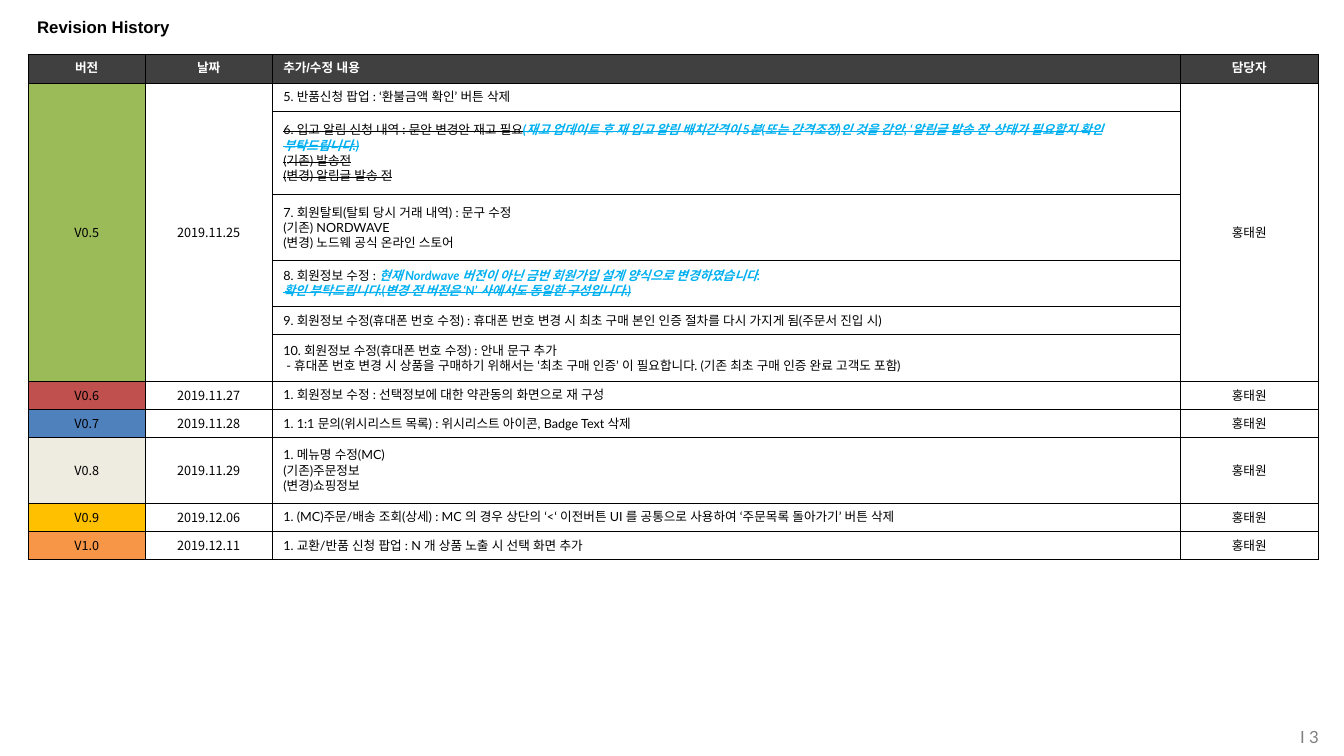
import math
from dataclasses import dataclass

import pptx
import pptx.dml.color
import pptx.enum.text
import pptx.oxml
import pptx.oxml.ns
import pptx.util
from pptx.util import Inches

ALIGN = pptx.enum.text.PP_ALIGN
MIDDLE = pptx.enum.text.MSO_ANCHOR.MIDDLE


@dataclass(frozen=True)
class Theme:
    ink: str = "000000"
    note: str = "00B0F0"
    header_fill: str = "404040"
    header_text: str = "FFFFFF"
    page_number: str = "808080"
    heading_font: str = "Arial"
    body_font: str = "Lato"
    korean_font: str = "Noto Sans CJK KR"
    title_size: int = 12
    table_size: int = 9
    border_width: float = 0.25


THEME = Theme()

COLUMN_WIDTHS = (1.16, 1.26, 9.01, 1.36)
HEIGHT_BY_LINES = {1: 0.28, 2: 0.46, 3: 0.65, 4: 0.83}
CHARACTERS_PER_LINE = 90
HEADERS = ("버전", "날짜", "추가/수정 내용", "담당자")
OWNER = "홍태원"

# Run styles: plain, struck out, reviewer note, struck-out reviewer note
PLAIN, STRUCK, NOTE, STRUCK_NOTE = "", "s", "n", "sn"

# Version, colour, date, entries; an entry lists paragraphs, a paragraph lists runs
RELEASES = [
    ("V0.5", "9BBB59", "2019.11.25", [
        [[("5. 반품신청 팝업 : ‘환불금액 확인’ 버튼 삭제", PLAIN)]],
        [[("6. 입고 알림 신청 내역 : 문안 변경안 재고 필요", STRUCK),
          ("(재고 업데이트 후 재 입고 알림 배치간격이 5분(또는 간격조정)인 것을 감안, "
           "‘알림글 발송 전’ 상태가 필요할지 확인 부탁드립니다.)", STRUCK_NOTE)],
         [("(기존) 발송전", STRUCK)],
         [("(변경) 알림글 발송 전", STRUCK)]],
        [[("7. 회원탈퇴(탈퇴 당시 거래 내역) : 문구 수정", PLAIN)],
         [("(기존) NORDWAVE", PLAIN)],
         [("(변경) 노드웨 공식 온라인 스토어", PLAIN)]],
        [[("8. 회원정보 수정 : ", PLAIN),
          ("현재 Nordwave 버전이 아닌 금번 회원가입 설계 양식으로 변경하였습니다.", NOTE)],
         [("확인 부탁드립니다.(변경 전 버전은 ‘N’ 사에서도 동일한 구성입니다.)", STRUCK_NOTE)]],
        [[("9. 회원정보 수정(휴대폰 번호 수정) : 휴대폰 번호 변경 시 최초 구매 본인 인증 "
           "절차를 다시 가지게 됨(주문서 진입 시)", PLAIN)]],
        [[("10. 회원정보 수정(휴대폰 번호 수정) : 안내 문구 추가", PLAIN)],
         [("- 휴대폰 번호 변경 시 상품을 구매하기 위해서는 ‘최초 구매 인증’ 이 필요합니다. "
           "(기존 최초 구매 인증 완료 고객도 포함)", PLAIN)]],
    ]),
    ("V0.6", "C0504D", "2019.11.27", [
        [[("1. 회원정보 수정 : 선택정보에 대한 약관동의 화면으로 재 구성", PLAIN)]]]),
    ("V0.7", "4F81BD", "2019.11.28", [
        [[("1. 1:1 문의(위시리스트 목록) : 위시리스트 아이콘, Badge Text 삭제", PLAIN)]]]),
    ("V0.8", "EEECE1", "2019.11.29", [
        [[("1. 메뉴명 수정(MC)", PLAIN)],
         [("(기존)주문정보", PLAIN)],
         [("(변경)쇼핑정보", PLAIN)]]]),
    ("V0.9", "FFC000", "2019.12.06", [
        [[("1. (MC)주문/배송 조회(상세) : MC 의 경우 상단의 ‘<‘ 이전버튼 UI 를 공통으로 "
           "사용하여 ‘주문목록 돌아가기’ 버튼 삭제", PLAIN)]]]),
    ("V1.0", "F79646", "2019.12.11", [
        [[("1. 교환/반품 신청 팝업 : N 개 상품 노출 시 선택 화면 추가", PLAIN)]]]),
]


def rgb(value):
    return pptx.dml.color.RGBColor.from_string(value)


def entry_height(entry):
    """Row height for the lines that an entry takes once its long paragraphs wrap."""
    lengths = [sum(len(text) for text, _ in runs) for runs in entry]
    return HEIGHT_BY_LINES[sum(math.ceil(length / CHARACTERS_PER_LINE) for length in lengths)]


def format_paragraph(paragraph, font_name, size, color, bold=False, align=ALIGN.LEFT):
    paragraph.alignment = align
    font = paragraph.font
    font.name, font.size, font.bold = font_name, pptx.util.Pt(size), bold
    font.color.rgb = rgb(color)
    defaults = paragraph._p.pPr.find(pptx.oxml.ns.qn("a:defRPr"))
    defaults.append(pptx.oxml.parse_xml(
        f'<a:ea {pptx.oxml.ns.nsdecls("a")} typeface="{font_name}"/>'))


def add_styled_run(paragraph, text, style):
    run = paragraph.add_run()
    run.text = text
    if "n" in style:
        run.font.bold = run.font.italic = True
        run.font.color.rgb = rgb(THEME.note)
    if "s" in style:
        run._r.get_or_add_rPr().set("strike", "sngStrike")


def add_label(slide, text, box, **formatting):
    frame = slide.shapes.add_textbox(*map(Inches, box)).text_frame
    frame.word_wrap = True
    frame.vertical_anchor = MIDDLE
    frame.text = text
    format_paragraph(frame.paragraphs[0], size=THEME.title_size, **formatting)
    return frame


def prepare_cell(cell):
    """Give a cell its borders, margins and an empty fill."""
    properties = cell._tc.get_or_add_tcPr()
    for side in "LRTB":
        properties.append(pptx.oxml.parse_xml(
            f'<a:ln{side} {pptx.oxml.ns.nsdecls("a")} w="{pptx.util.Pt(THEME.border_width)}">'
            f'<a:solidFill><a:srgbClr val="{THEME.ink}"/></a:solidFill></a:ln{side}>'))
    cell.fill.background()
    cell.margin_left = cell.margin_right = Inches(0.11)
    cell.margin_top = cell.margin_bottom = Inches(0.05)
    cell.vertical_anchor = MIDDLE


def fill_cell(cell, text, fill=None, font_name=THEME.korean_font, color=THEME.ink,
              bold=False, align=ALIGN.CENTER):
    cell.text = text
    format_paragraph(cell.text_frame.paragraphs[0], font_name, THEME.table_size,
                     color, bold, align)
    if fill:
        cell.fill.solid()
        cell.fill.fore_color.rgb = rgb(fill)


def fill_entry(cell, entry):
    frame = cell.text_frame
    for index, runs in enumerate(entry):
        paragraph = frame.add_paragraph() if index else frame.paragraphs[0]
        if runs[0][0].startswith("-"):
            paragraph._p.get_or_add_pPr().set("marL", str(Inches(0.03)))
        format_paragraph(paragraph, THEME.body_font, THEME.table_size, THEME.ink)
        for text, style in runs:
            add_styled_run(paragraph, text, style)


def add_history_table(slide):
    heights = [HEIGHT_BY_LINES[1]]
    heights += [entry_height(entry) for *_, entries in RELEASES for entry in entries]
    table = slide.shapes.add_table(
        len(heights), len(HEADERS), Inches(0.28), Inches(0.54),
        Inches(sum(COLUMN_WIDTHS)), Inches(sum(heights))).table
    table.first_row = table.horz_banding = False
    for column, width in zip(table.columns, COLUMN_WIDTHS):
        column.width = Inches(width)
    for row, height in zip(table.rows, heights):
        row.height = Inches(height)
    for cell in table.iter_cells():
        prepare_cell(cell)

    for column, header in enumerate(HEADERS):
        fill_cell(table.cell(0, column), header, THEME.header_fill, THEME.heading_font,
                  THEME.header_text, True, ALIGN.LEFT if column == 2 else ALIGN.CENTER)

    top = 1
    for version, color, date, entries in RELEASES:
        bottom = top + len(entries) - 1
        for column, text, fill in ((0, version, color), (1, date, None), (3, OWNER, None)):
            if bottom > top:
                table.cell(top, column).merge(table.cell(bottom, column))
            fill_cell(table.cell(top, column), text, fill)
        for row, entry in enumerate(entries, top):
            fill_entry(table.cell(row, 2), entry)
        top = bottom + 1


def main():
    deck = pptx.Presentation()
    deck.slide_width, deck.slide_height = Inches(13.33), Inches(7.5)
    slide = deck.slides.add_slide(deck.slide_layouts[6])
    page_number = add_label(slide, "I 3", (11.15, 7.11, 1.93, 0.39),
                            font_name=THEME.body_font, color=THEME.page_number,
                            align=ALIGN.RIGHT)
    page_number.margin_left = page_number.margin_right = 0
    page_number.margin_top = page_number.margin_bottom = 0
    add_history_table(slide)
    add_label(slide, "Revision History", (0.27, 0.08, 12.79, 0.38),
              font_name=THEME.heading_font, color=THEME.ink, bold=True)
    deck.save("out.pptx")


if __name__ == "__main__":
    main()
